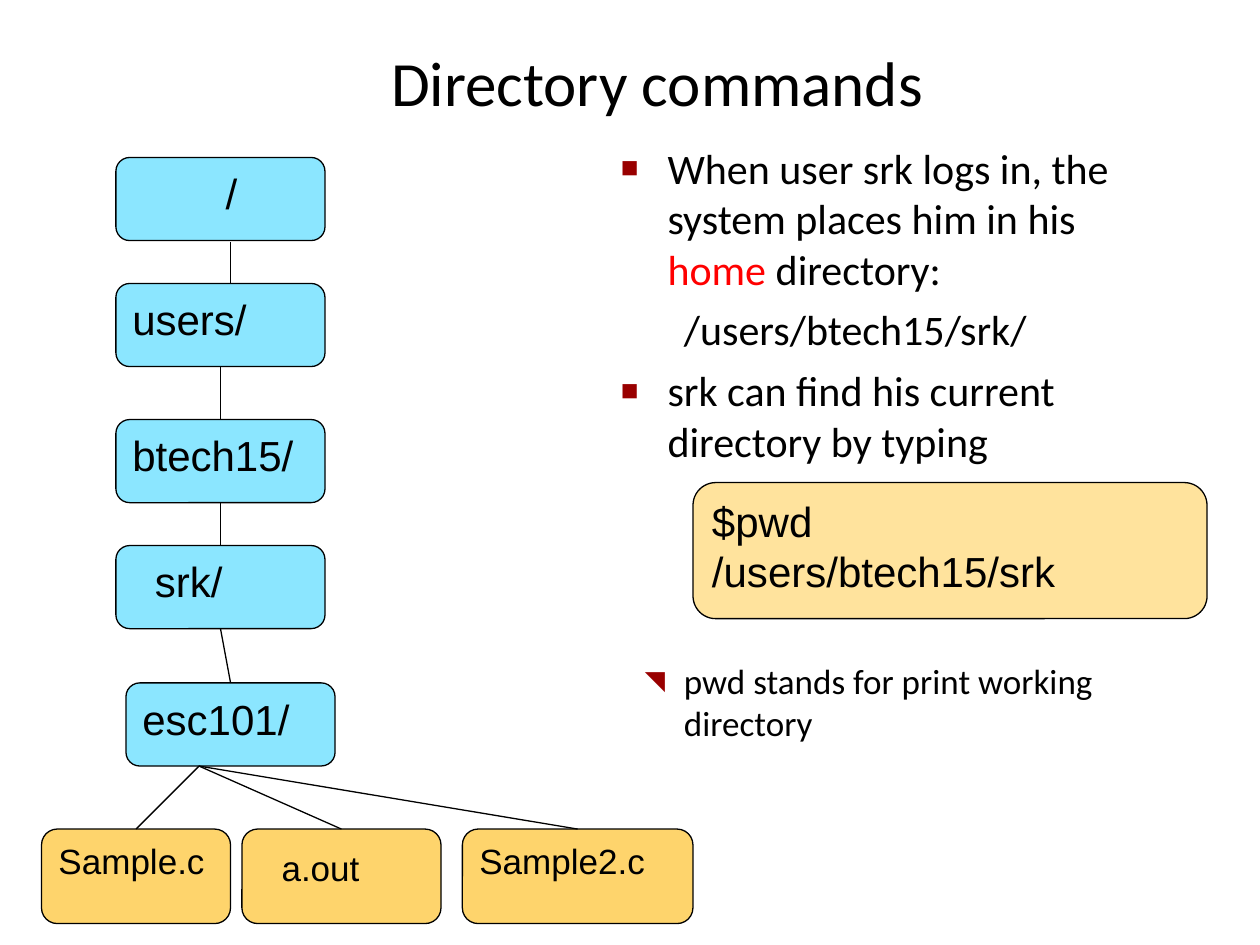
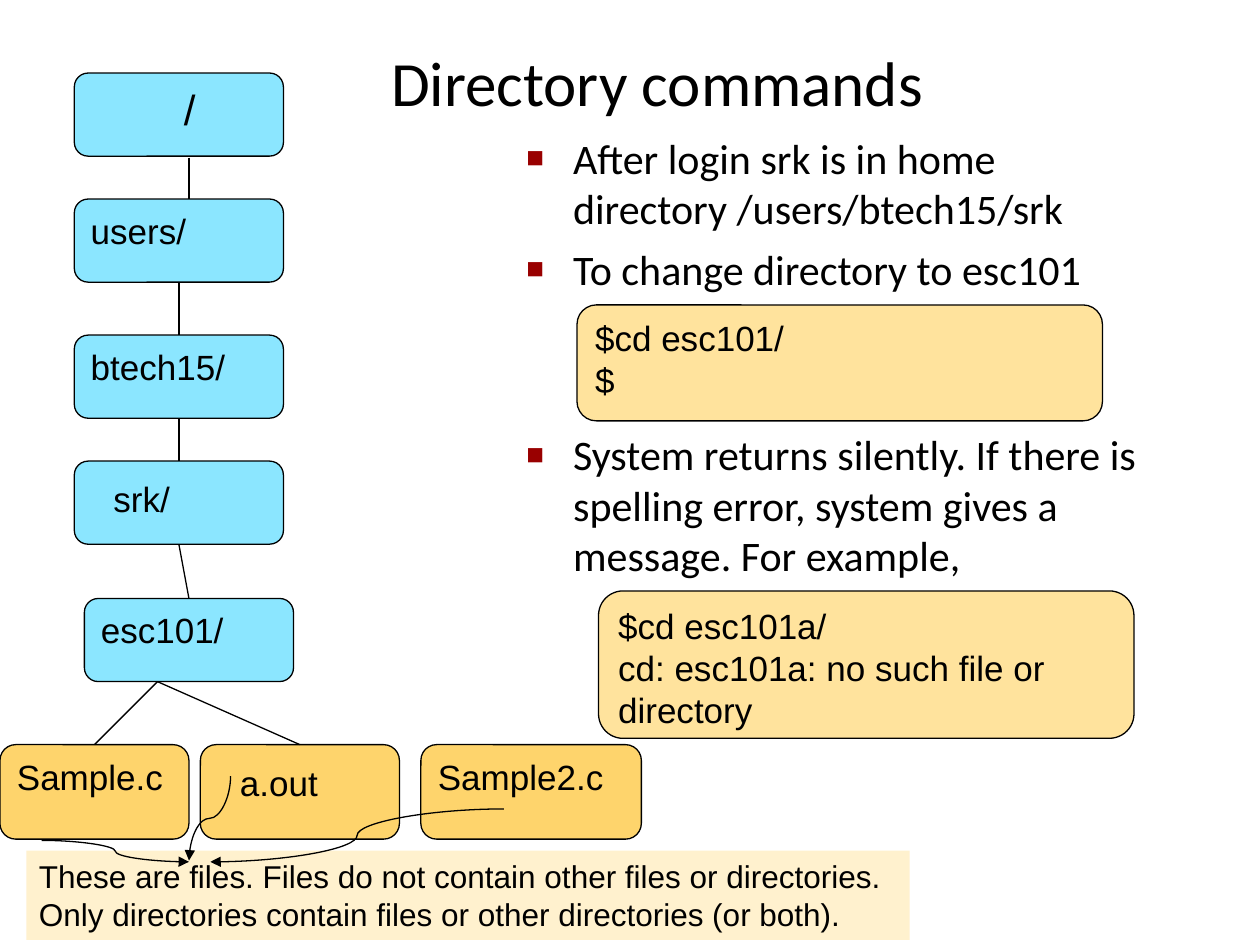
from dataclasses import dataclass

import lxml.etree
import pptx
import pptx.dml.color
import pptx.enum.shapes
import pptx.enum.text
import pptx.oxml.ns
import pptx.util

Inches = pptx.util.Inches
Shape = pptx.enum.shapes.MSO_SHAPE
Connector = pptx.enum.shapes.MSO_CONNECTOR
qualified = pptx.oxml.ns.qn


@dataclass(frozen=True)
class Theme:
    black: str = "000000"
    home_red: str = "FF0000"
    bullet_red: str = "990000"
    directory_blue: str = "8BE6FF"
    file_gold: str = "FED46C"
    command_sand: str = "FFE39D"
    note_cream: str = "FFF1CE"
    prose_font: str = "Calibri"
    tree_font: str = "Arial"
    title_size: int = 36
    large_size: int = 24
    small_size: int = 20
    note_size: int = 18
    line_width: float = 0.75


THEME = Theme()

# Tree geometry, measured from the top left of the root directory
DIRECTORIES = [  # name, left, top, text indent
    ("/", 0, 0, 0.74),
    ("users/", 0, 1, 0),
    ("btech15/", 0, 2.08, 0),
    ("srk/", 0, 3.08, 0.18),
    ("esc101/", 0.08, 4.17, 0),
]
DIRECTORY_WIDTH, DIRECTORY_HEIGHT = 1.66, 0.66
FILES_TOP, FILE_HEIGHT = 5.33, 0.75


def rgb(color):
    return pptx.dml.color.RGBColor.from_string(color)


def style_span(span, size, font, color=THEME.black):
    span.font.size = pptx.util.Pt(size)
    span.font.name = font
    span.font.color.rgb = rgb(color)


def set_indent(para, left, first=0):
    properties = para._p.get_or_add_pPr()
    properties.set("marL", str(Inches(left)))
    properties.set("indent", str(Inches(first)))


def add_bullet(para, symbol, percent):
    properties = para._p.get_or_add_pPr()

    def add(tag, parent=properties, **attributes):
        return lxml.etree.SubElement(parent, qualified(tag), attributes)

    add("a:srgbClr", add("a:buClr"), val=THEME.bullet_red)
    add("a:buSzPct", val=str(percent * 1000))
    add("a:buFont", typeface=THEME.tree_font)
    add("a:buChar", char=symbol)


def add_title(page, text):
    title = page.shapes.title
    title.left, title.top = Inches(0.43), Inches(0.23)
    title.width, title.height = Inches(9.57), Inches(0.83)
    frame = title.text_frame
    frame.text = text
    frame.auto_size = pptx.enum.text.MSO_AUTO_SIZE.NONE
    frame.vertical_anchor = pptx.enum.text.MSO_ANCHOR.MIDDLE
    frame.paragraphs[0].alignment = pptx.enum.text.PP_ALIGN.CENTER
    style_span(frame.paragraphs[0].runs[0], THEME.title_size, THEME.prose_font)


def add_prose(page, left, top, width, height):
    box = page.shapes.add_textbox(*map(Inches, (left, top, width, height)))
    box.text_frame.word_wrap = True
    return box.text_frame


def add_point(frame, *parts, space=6, size=THEME.large_size, left=0.37,
              hanging=0.37, symbol="■", percent=70):
    """Add a paragraph; each part is a text or a (text, color) pair."""
    para = frame.paragraphs[0]
    if para.runs:
        para = frame.add_paragraph()
        para.space_before = pptx.util.Pt(space)
    set_indent(para, left, -hanging)
    if symbol:
        add_bullet(para, symbol, percent)
    for part in parts:
        text, color = (part, THEME.black) if isinstance(part, str) else part
        span = para.add_run()
        span.text = text
        style_span(span, size, THEME.prose_font, color)


def add_box(page, place, fill, lines, size, indent=0, inset_top=0.05,
            kind=Shape.ROUNDED_RECTANGLE, outlined=True):
    box = page.shapes.add_shape(kind, *map(Inches, place))
    box.shadow.inherit = False
    box.fill.solid()
    box.fill.fore_color.rgb = rgb(fill)
    if outlined:
        box.line.color.rgb = rgb(THEME.black)
        box.line.width = pptx.util.Pt(THEME.line_width)
    else:
        box.line.fill.background()
    frame = box.text_frame
    frame.word_wrap = True
    frame.vertical_anchor = pptx.enum.text.MSO_ANCHOR.TOP
    frame.margin_top = Inches(inset_top)
    frame.text = "\n".join(lines)
    for para in frame.paragraphs:
        para.alignment = pptx.enum.text.PP_ALIGN.LEFT
        set_indent(para, indent)
        style_span(para.runs[0], size, THEME.tree_font)
    return box


def add_command(page, place, lines, size):
    add_box(page, place, THEME.command_sand, lines, size)


def add_line(page, start, end, kind=Connector.STRAIGHT):
    line = page.shapes.add_connector(kind, *map(Inches, (*start, *end)))
    line.line.color.rgb = rgb(THEME.black)
    line.line.width = pptx.util.Pt(THEME.line_width)
    lxml.etree.SubElement(line._element.spPr, qualified("a:effectLst"))
    return line


def add_curved_arrow(page, start, end, turn=0):
    arrow = add_line(page, start, end, Connector.CURVE)
    stroke = arrow.line._get_or_add_ln()
    lxml.etree.SubElement(stroke, qualified("a:tailEnd"), type="triangle")
    if turn:
        transform = arrow._element.spPr.find(qualified("a:xfrm"))
        transform.set("rot", str(turn * 60000))


def add_tree(page, left, top, files, name_size, lowered=(), linked_files=3):
    # The root link lies behind the boxes
    link_x = left + 0.91
    add_line(page, (link_x, top + 0.67), (link_x, top + 1.25))

    directories = []
    for name, shift, drop, indent in DIRECTORIES:
        place = (left + shift, top + drop, DIRECTORY_WIDTH, DIRECTORY_HEIGHT)
        size = THEME.large_size if name == "/" else name_size
        inset = 0.1 if name in lowered else 0.05
        directories.append(add_box(page, place, THEME.directory_blue, [name],
                                   size, indent, inset))
    for parent, child in zip(directories[1:], directories[2:]):
        link = add_line(page, (0, 0), (1, 1))
        link.begin_connect(parent, 2)
        link.end_connect(child, 0)

    # Files fan out from one point under the last directory
    fan = (left + 0.66, top + DIRECTORIES[-1][2] + DIRECTORY_HEIGHT)
    for index, (name, shift, width) in enumerate(files):
        place = (left + shift, top + FILES_TOP, width, FILE_HEIGHT)
        is_output = name == "a.out"
        box = add_box(page, place, THEME.file_gold, [name], THEME.small_size,
                      0.18 if is_output else 0, 0.1 if is_output else 0.05)
        if index < linked_files:
            add_line(page, fan, (left, top)).end_connect(box, 0)


def tree_files(last_width):
    return [("Sample.c", -0.59, 1.5), ("a.out", 1, 1.58),
            ("Sample2.c", 2.75, last_width)]


def build_print_directory(page):
    add_title(page, "Directory commands")
    prose = add_prose(page, 4.83, 1.08, 4.5, 5.73)
    add_point(prose, "When user srk logs in, the system places him in his ",
              ("home", THEME.home_red), " directory:")
    add_point(prose, "/users/btech15/srk/", left=0.5, hanging=0, symbol=None)
    add_point(prose, "srk can find his current directory by typing")
    add_point(prose, "pwd stands for print working directory", space=111,
              size=THEME.small_size, left=0.5, hanging=0.31, symbol="◥",
              percent=75)
    add_command(page, (5.5, 3.83, 4.08, 1.08),
                ["$pwd", "/users/btech15/srk"], THEME.large_size)
    add_tree(page, 0.92, 1.25, tree_files(1.83), THEME.large_size)


def build_change_directory(page):
    add_title(page, "Directory commands")
    prose = add_prose(page, 4.08, 1, 5.58, 5.9)
    add_point(prose, "After login srk is in home directory /users/btech15/srk")
    add_point(prose, "To change directory to esc101")
    add_point(prose, "System returns silently. If there is spelling error, "
              "system gives a message. For example,", space=77)
    add_tree(page, 0.59, 0.58, tree_files(1.75), THEME.small_size,
             lowered=("srk/",), linked_files=2)
    add_command(page, (4.58, 2.42, 4.17, 0.92), ["$cd esc101/", "$"],
                THEME.small_size)
    add_command(page, (4.75, 4.69, 4.25, 1.17),
                ["$cd esc101a/", "cd: esc101a: no such file or directory"],
                THEME.small_size)

    # Note about files, with an arrow from each file
    add_box(page, (0.21, 6.75, 7.01, 0.71), THEME.note_cream,
            ["These are files. Files do not contain other files or directories.",
             "Only directories contain files or other directories (or both)."],
            THEME.note_size, kind=Shape.RECTANGLE, outlined=False)
    add_curved_arrow(page, (0.33, 6.67), (1.5, 6.84))
    add_curved_arrow(page, (1.33, 6.33), (2, 6.66), turn=90)
    add_curved_arrow(page, (4, 6.42), (1.67, 6.84))


def main():
    deck = pptx.Presentation()
    deck.slide_width, deck.slide_height = Inches(10), Inches(7.5)
    title_only = deck.slide_layouts[5]
    for build in (build_print_directory, build_change_directory):
        build(deck.slides.add_slide(title_only))
    deck.save("out.pptx")


if __name__ == "__main__":
    main()
